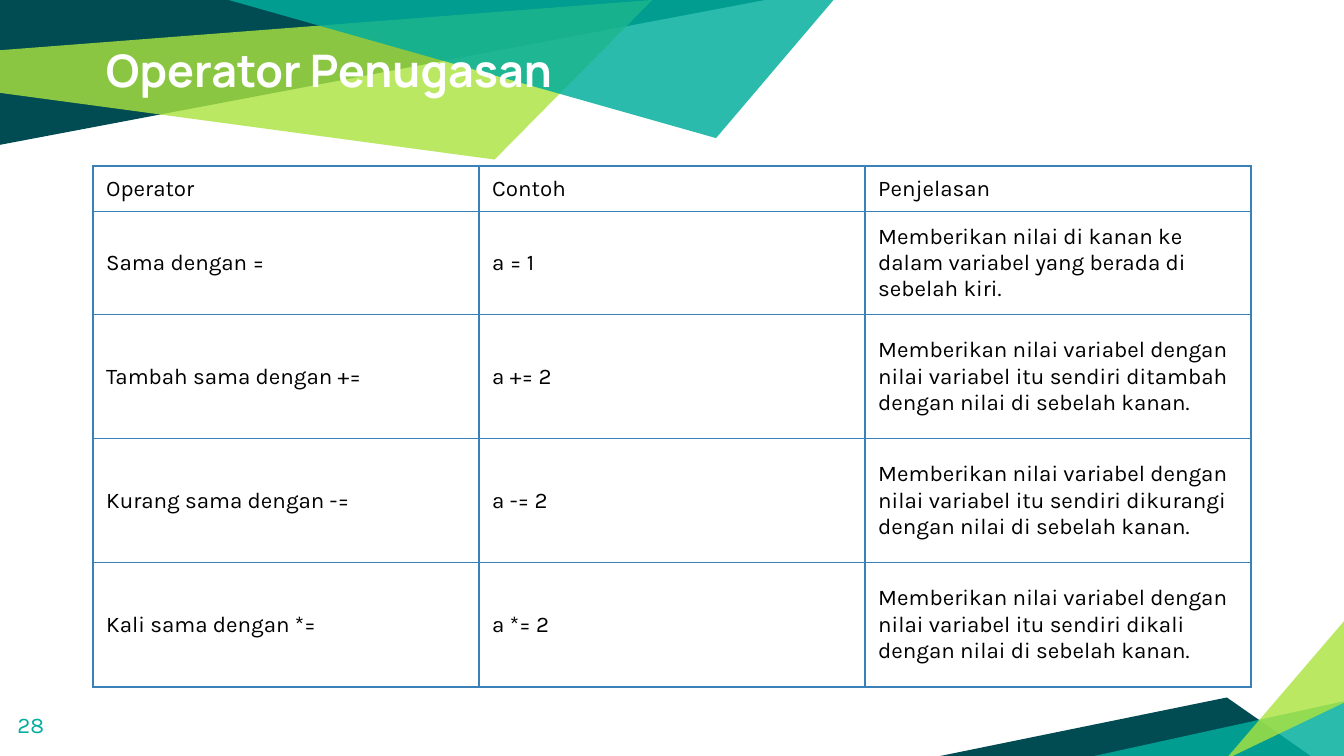
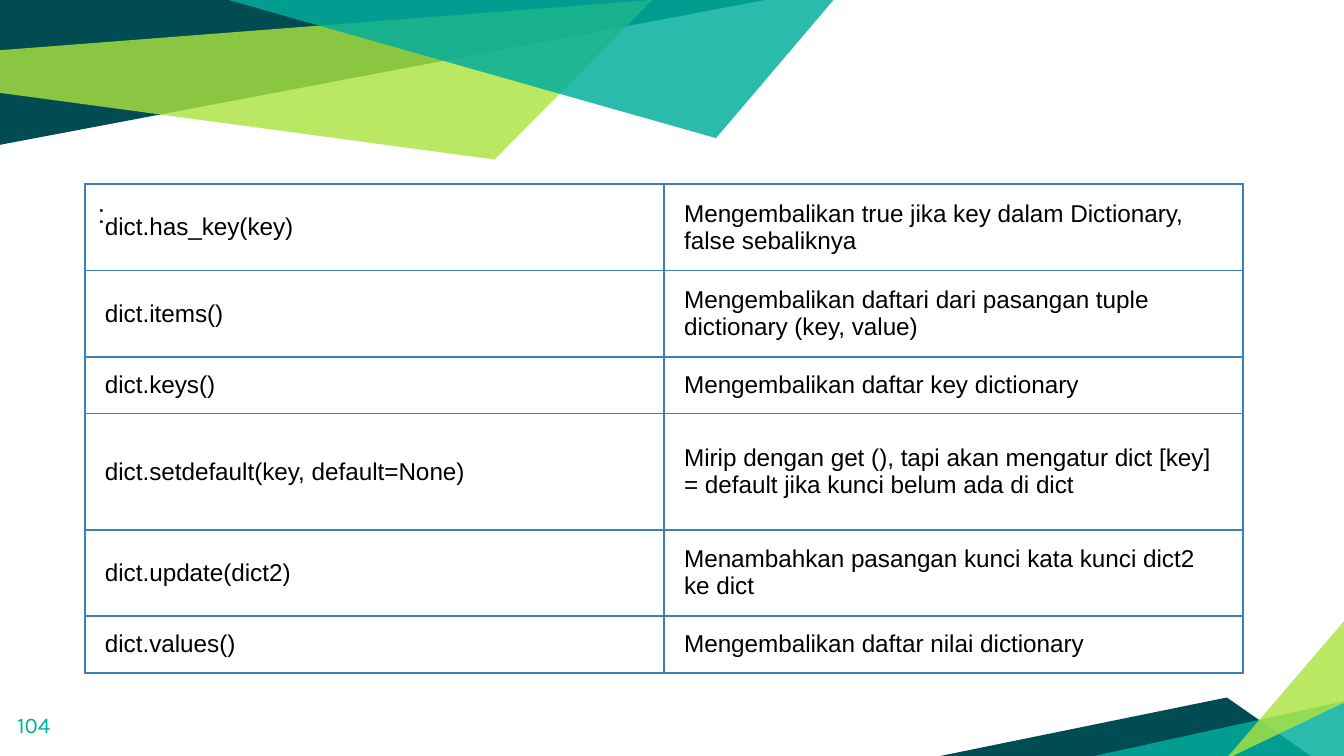
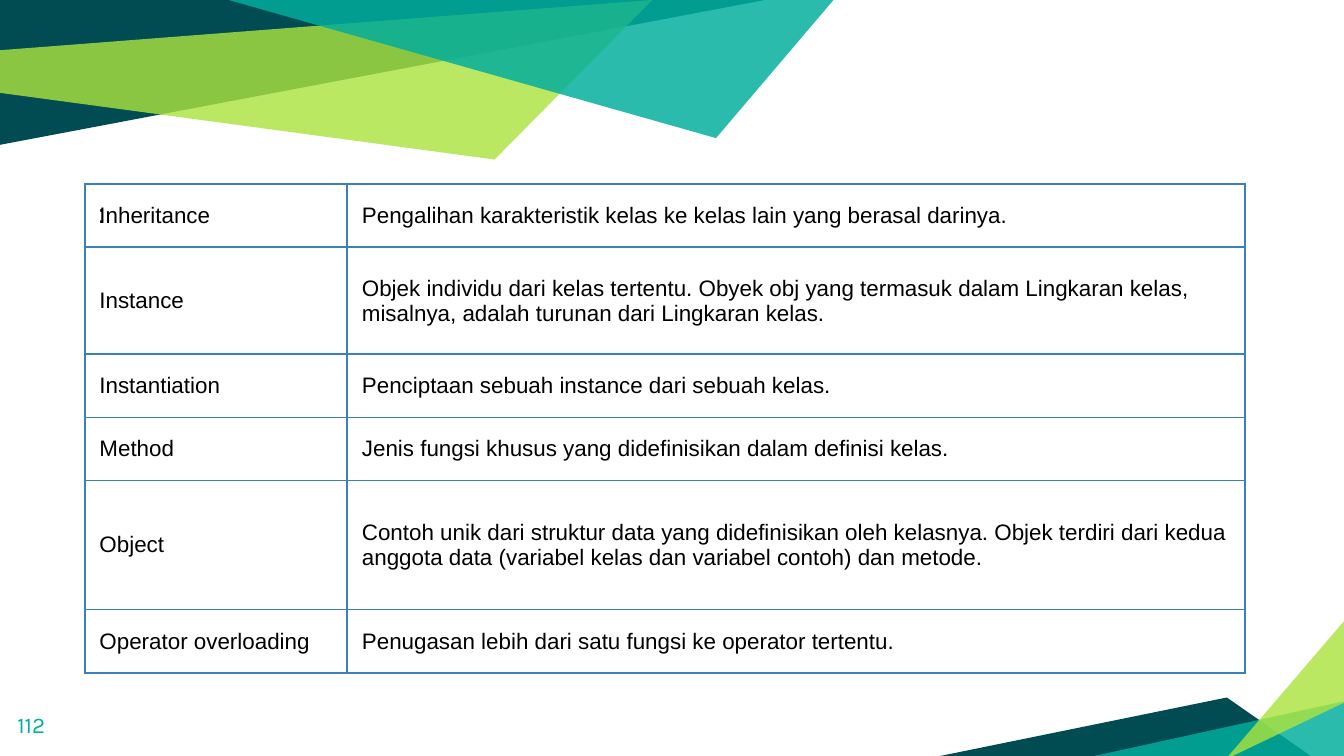
from dataclasses import dataclass

from lxml import etree
from pptx import Presentation
from pptx.dml.color import RGBColor
from pptx.enum.text import MSO_ANCHOR
from pptx.oxml.ns import qn
from pptx.util import Pt

MIDDLE = MSO_ANCHOR.MIDDLE
BLANK_LAYOUT = 6
BORDER_SIDES = ("a:lnL", "a:lnR", "a:lnT", "a:lnB")


@dataclass(frozen=True)
class Theme:
    navy: str = "004C52"
    lime: str = "ABE33F"
    teal: str = "00AE9D"
    white: str = "FFFFFF"
    ink: str = "000000"
    border: str = "3A81BA"
    title_font: str = "Manrope"
    body_font: str = "Karla"
    plain_font: str = "Arial"
    title_size: float = 24
    mark_size: float = 14
    large_size: float = 13
    body_size: float = 12
    border_width: float = 1


THEME = Theme()

BANDS = [
    (THEME.navy, 100, [(0, 0), (0, 77.6), (409.9, 0)]),
    (THEME.lime, 81, [(-0.7, 27), (0, 49.8), (265, 85.5), (349.5, 0)]),
    (THEME.navy, 100, [(502, 405.4), (702.7, 405.4), (657.3, 373.7)]),
    (THEME.teal, 83, [(721.4, 375.4), (721.4, 406.8), (578.2, 406.8)]),
    (THEME.lime, 81, [(721.4, 375.8), (721.4, 331.2), (656.6, 406.8)]),
    (THEME.teal, 83, [(122.4, 0), (383.6, 74), (447.1, -0.7), (438.5, 0)]),
]

OPERATORS = [
    ("Operator", "Contoh", "Penjelasan"),
    ("Sama dengan =", "a = 1",
     "Memberikan nilai di kanan ke dalam variabel yang berada di sebelah kiri."),
    ("Tambah sama dengan +=", "a += 2",
     "Memberikan nilai variabel dengan nilai variabel itu sendiri ditambah dengan nilai di sebelah kanan."),
    ("Kurang sama dengan -=", "a -= 2",
     "Memberikan nilai variabel dengan nilai variabel itu sendiri dikurangi dengan nilai di sebelah kanan."),
    ("Kali sama dengan *=", "a *= 2",
     "Memberikan nilai variabel dengan nilai variabel itu sendiri dikali dengan nilai di sebelah kanan."),
]

DICTIONARY_METHODS = [
    ("dict.has_key(key)", "Mengembalikan true jika key dalam Dictionary, false sebaliknya"),
    ("dict.items()", "Mengembalikan daftari dari pasangan tuple dictionary (key, value)"),
    ("dict.keys()", "Mengembalikan daftar key dictionary"),
    ("dict.setdefault(key, default=None)",
     "Mirip dengan get (), tapi akan mengatur dict [key] = default jika kunci belum ada di dict"),
    ("dict.update(dict2)", "Menambahkan pasangan kunci kata kunci dict2 ke dict"),
    ("dict.values()", "Mengembalikan daftar nilai dictionary"),
]

CLASS_TERMS = [
    ("Inheritance", "Pengalihan karakteristik kelas ke kelas lain yang berasal darinya."),
    ("Instance",
     "Objek individu dari kelas tertentu. Obyek obj yang termasuk dalam Lingkaran kelas, "
     "misalnya, adalah turunan dari Lingkaran kelas."),
    ("Instantiation", "Penciptaan sebuah instance dari sebuah kelas."),
    ("Method", "Jenis fungsi khusus yang didefinisikan dalam definisi kelas."),
    ("Object",
     "Contoh unik dari struktur data yang didefinisikan oleh kelasnya. Objek terdiri dari kedua "
     "anggota data (variabel kelas dan variabel contoh) dan metode."),
    ("Operator overloading", "Penugasan lebih dari satu fungsi ke operator tertentu."),
]


def write_text(frame, text, *, font=THEME.plain_font, size=THEME.body_size,
               color=THEME.ink, bold=False):
    span = frame.paragraphs[0].add_run()
    span.text = text
    span.font.name = font
    span.font.size = Pt(size)
    span.font.bold = bold
    span.font.color.rgb = RGBColor.from_string(color)


def set_margins(target, across, down):
    target.margin_left = target.margin_right = Pt(across)
    target.margin_top = target.margin_bottom = Pt(down)


def add_text_box(page, text, left, top, width, height, inset=7.2, **text_format):
    box = page.shapes.add_textbox(Pt(left), Pt(top), Pt(width), Pt(height))
    frame = box.text_frame
    frame.word_wrap = True
    set_margins(frame, 7.2, inset)
    write_text(frame, text, **text_format)


def add_band(page, color, opacity, points):
    corners = [(Pt(x), Pt(y)) for x, y in points]
    builder = page.shapes.build_freeform(*corners[0], scale=1.0)
    builder.add_line_segments(corners[1:], close=True)
    band = builder.convert_to_shape()
    band.shadow.inherit = False
    band.line.fill.background()
    band.fill.solid()
    band.fill.fore_color.rgb = RGBColor.from_string(color)
    if opacity < 100:
        tint = band.element.spPr.find(qn("a:solidFill")).find(qn("a:srgbClr"))
        etree.SubElement(tint, qn("a:alpha"), val=str(opacity * 1000))


def add_borders(cell):
    properties = cell._tc.get_or_add_tcPr()
    for side in BORDER_SIDES:
        line = etree.SubElement(properties, qn(side), w=str(Pt(THEME.border_width)))
        fill = etree.SubElement(line, qn("a:solidFill"))
        etree.SubElement(fill, qn("a:srgbClr"), val=THEME.border)


def add_grid(page, rows, left, top, widths, heights, margins, **text_format):
    holder = page.shapes.add_table(len(rows), len(widths), Pt(left), Pt(top),
                                   Pt(sum(widths)), Pt(sum(heights)))
    table = holder.table
    table.first_row = table.horz_banding = False
    for column, width in zip(table.columns, widths):
        column.width = Pt(width)
    for row, height, texts in zip(table.rows, heights, rows):
        row.height = Pt(height)
        for cell, text in zip(row.cells, texts):
            add_borders(cell)
            cell.fill.background()
            cell.vertical_anchor = MIDDLE
            set_margins(cell, *margins)
            write_text(cell.text_frame, text, **text_format)


def add_page(deck, number):
    page = deck.slides.add_slide(deck.slide_layouts[BLANK_LAYOUT])
    page.background.fill.solid()
    page.background.fill.fore_color.rgb = RGBColor.from_string(THEME.white)
    for band in BANDS:
        add_band(page, *band)
    add_text_box(page, number, 2.2, 373.7, 43.2, 31, font=THEME.body_font, color=THEME.teal)
    return page


def add_definition_page(deck, number, rows, **grid_format):
    page = add_page(deck, number)
    add_text_box(page, ":", 45.4, 98.6, 604.8, 275, size=THEME.mark_size)
    add_grid(page, rows, 45.4, 98.6, **grid_format)


def main():
    deck = Presentation()
    deck.slide_width, deck.slide_height = Pt(720), Pt(405)

    page = add_page(deck, "28")
    add_text_box(page, "Operator Penugasan", 49.7, 19.4, 620.6, 36, inset=3.6,
                 font=THEME.title_font, size=THEME.title_size, color=THEME.white, bold=True)
    add_grid(page, OPERATORS, 49.7, 88.9, widths=[206.8] * 3,
             heights=[23.3, 55.2] + [66.5] * 3, margins=(7.2, 5), font=THEME.body_font)

    add_definition_page(deck, "104", DICTIONARY_METHODS, widths=[310.3] * 2,
                        heights=[46.3, 46.3, 30.4, 62.3, 46.3, 30.4],
                        margins=(10.8, 7.2), size=THEME.large_size)
    add_definition_page(deck, "112", CLASS_TERMS, widths=[140.6, 481],
                        heights=[33.9, 57.3, 33.9, 33.9, 69.1, 33.9], margins=(7.9, 5))

    deck.save("out.pptx")


if __name__ == "__main__":
    main()
